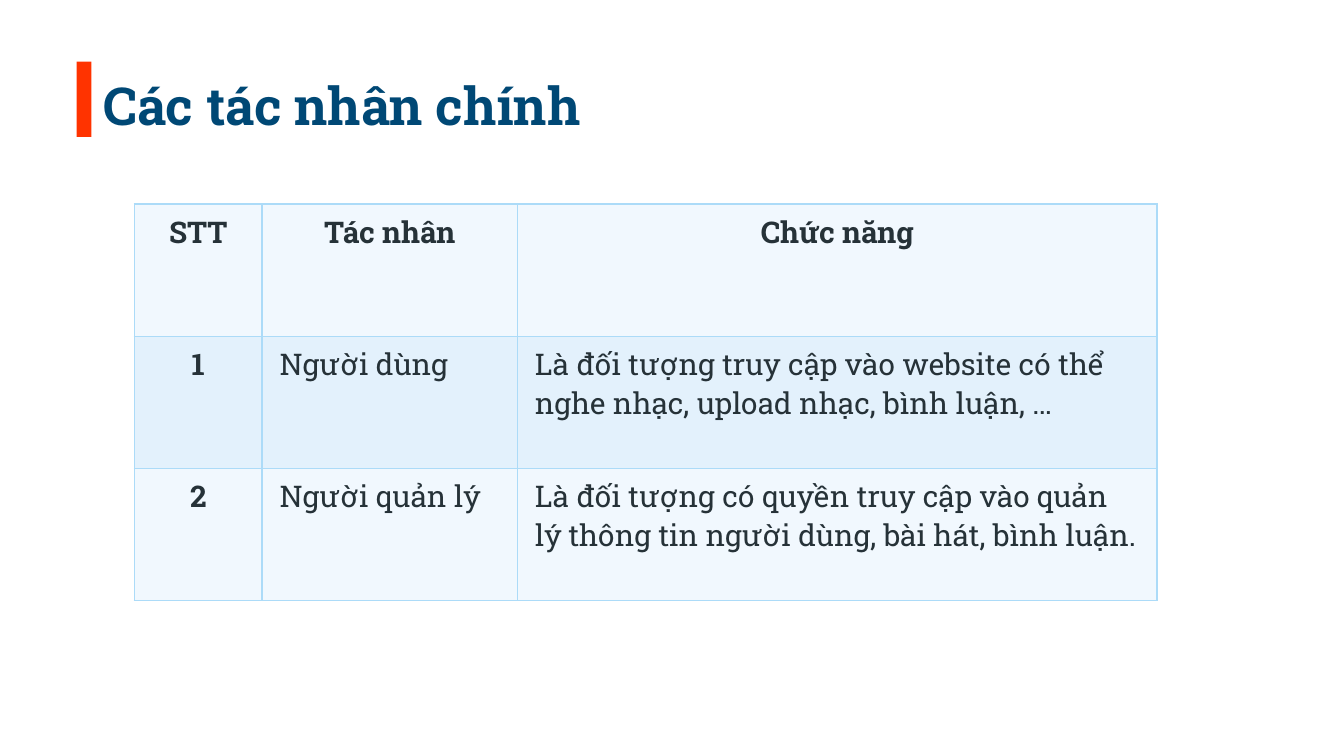
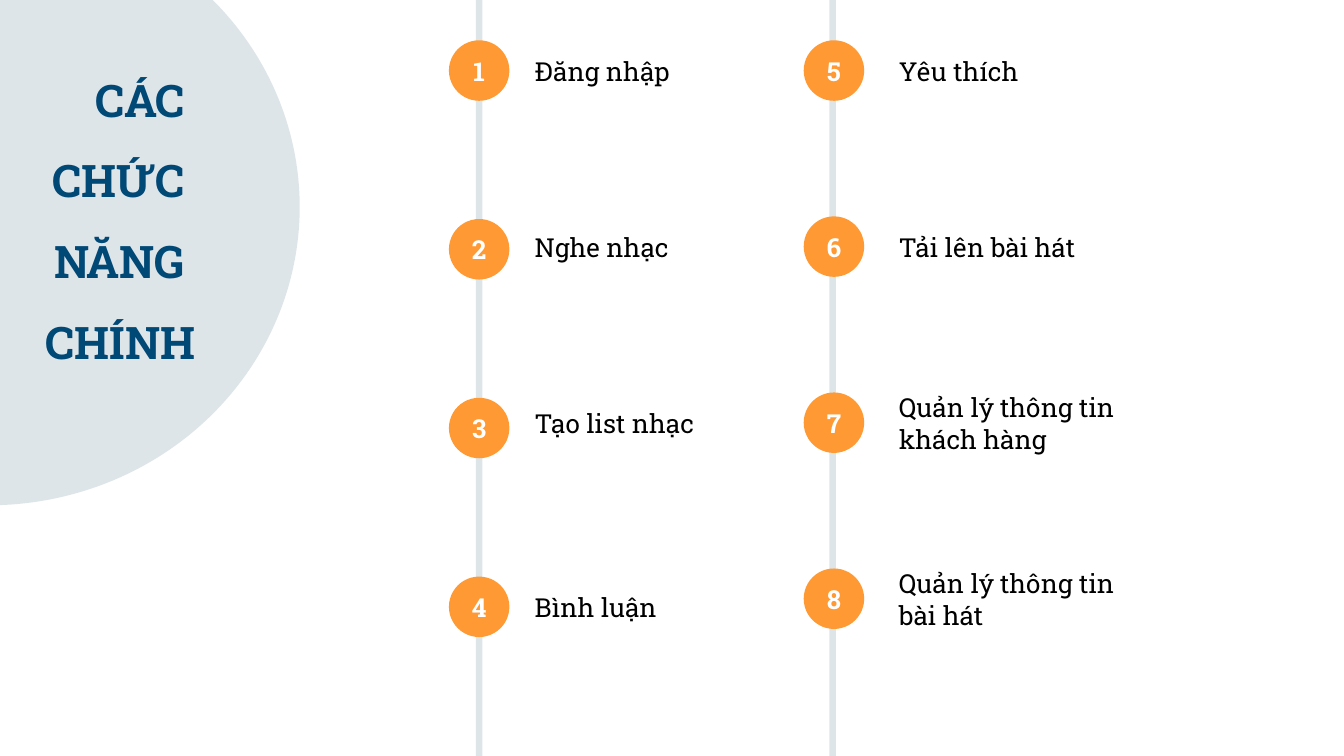
"""Builds two slides on the actors and main functions of a music website."""
from dataclasses import dataclass

from lxml import etree
from pptx import Presentation
from pptx.dml.color import RGBColor
from pptx.enum.shapes import MSO_SHAPE
from pptx.enum.text import MSO_ANCHOR, MSO_AUTO_SIZE, PP_ALIGN
from pptx.oxml.ns import qn
from pptx.util import Inches, Pt

RECTANGLE, OVAL = MSO_SHAPE.RECTANGLE, MSO_SHAPE.OVAL
LEFT, CENTER, RIGHT = PP_ALIGN.LEFT, PP_ALIGN.CENTER, PP_ALIGN.RIGHT
MIDDLE, BOTTOM = MSO_ANCHOR.MIDDLE, MSO_ANCHOR.BOTTOM
GROW = MSO_AUTO_SIZE.SHAPE_TO_FIT_TEXT


@dataclass(frozen=True)
class Theme:
    """Colours, font and type sizes shared by the slides."""
    font: str = "Roboto Slab"
    navy: str = "004875"
    red: str = "FF3300"
    orange: str = "FF9933"
    gray: str = "DEE5E9"
    ink: str = "263238"
    black: str = "000000"
    white: str = "FFFFFF"
    border: str = "ACDBF8"
    row_fills: tuple = ("F1F8FE", "E3F1FC")
    title_size: int = 28
    disc_size: int = 24
    table_size: int = 16
    label_size: int = 14


THEME = Theme()

ACTORS = [
    ("STT", "Tác nhân", "Chức năng"),
    ("1", "Người dùng",
     "Là đối tượng truy cập vào website có thể nghe nhạc, upload nhạc, bình luận, …"),
    ("2", "Người quản lý",
     "Là đối tượng có quyền truy cập vào quản lý thông tin người dùng, bài hát, bình luận."),
]
COLUMN_WIDTHS = (0.95, 1.9, 4.76)
TABLE_HEIGHT = 2.95

DISC_LINES = ["CÁC ", "CHỨC ", "NĂNG ", "CHÍNH"]
BADGE = 0.45
FIRST_BADGE_TOP = 0.3
LABEL_HEIGHTS = {1: 0.34, 2: 0.57}


@dataclass(frozen=True)
class Timeline:
    """A vertical rail with numbered badges and (text, middle, width, lines) labels."""
    rail_left: float
    rail_top: float
    badge_left: float
    pitch: float
    label_left: float
    first_number: int
    labels: tuple


TIMELINES = [
    Timeline(3.54, 0, 3.34, 1.33, 3.88, 1, (
        ("Đăng nhập", 0.53, 1.35, 1),
        ("Nghe nhạc", 1.84, 1.35, 1),
        ("Tạo list nhạc", 3.15, 1.46, 1),
        ("Bình luận", 4.52, 1.46, 1))),
    Timeline(6.17, -0.07, 5.98, 1.31, 6.59, 5, (
        ("Yêu thích", 0.53, 1.35, 1),
        ("Tải lên bài hát", 1.84, 1.53, 1),
        ("Quản lý thông tin khách hàng", 3.15, 2, 2),
        ("Quản lý thông tin bài hát", 4.46, 2, 2))),
]


def rgb(value):
    """Return the colour for a hexadecimal string."""
    return RGBColor.from_string(value)


def write(frame, lines, size, color, bold=False, align=LEFT, spacing=None):
    """Fill a text frame with one paragraph per line."""
    frame.word_wrap = True
    for index, line in enumerate(lines):
        para = frame.paragraphs[0] if index == 0 else frame.add_paragraph()
        para.text = line
        para.alignment = align
        para.line_spacing = spacing
        para.font.name = THEME.font
        para.font.size = Pt(size)
        para.font.bold = bold
        para.font.color.rgb = rgb(color)


def add_block(page, kind, left, top, width, height, fill):
    """Add a flat filled shape without outline."""
    block = page.shapes.add_shape(
        kind, Inches(left), Inches(top), Inches(width), Inches(height))
    block.shadow.inherit = False
    block.fill.solid()
    block.fill.fore_color.rgb = rgb(fill)
    block.line.fill.background()
    block.text_frame.vertical_anchor = MIDDLE
    return block


def add_text(page, left, top, width, height, text, size, color, bold=False):
    """Add a wrapped text box and return its frame."""
    box = page.shapes.add_textbox(
        Inches(left), Inches(top), Inches(width), Inches(height))
    write(box.text_frame, [text], size, color, bold)
    return box.text_frame


def add_title(page, text):
    """Add the slide title with its accent bar."""
    frame = add_text(page, 0.67, 0.34, 4.14, 0.77, text,
                     THEME.title_size, THEME.navy, bold=True)
    frame.vertical_anchor = BOTTOM
    frame.margin_top = frame.margin_bottom = Inches(0.1)
    add_block(page, RECTANGLE, 0.57, 0.46, 0.11, 0.56, THEME.red)


def set_borders(cell):
    """Draw a thin line on all four sides of a cell."""
    properties = cell._tc.get_or_add_tcPr()
    for side in ("a:lnL", "a:lnR", "a:lnT", "a:lnB"):
        line = etree.SubElement(properties, qn(side), w=str(Pt(1)))
        fill = etree.SubElement(line, qn("a:solidFill"))
        etree.SubElement(fill, qn("a:srgbClr"), val=THEME.border)


def add_actor_table(page, left, top):
    """Add the table of actors, with bold headings and numbers."""
    table = page.shapes.add_table(
        len(ACTORS), len(COLUMN_WIDTHS), Inches(left), Inches(top),
        Inches(sum(COLUMN_WIDTHS)), Inches(TABLE_HEIGHT)).table
    for column, width in zip(table.columns, COLUMN_WIDTHS):
        column.width = Inches(width)
    for row_index, values in enumerate(ACTORS):
        table.rows[row_index].height = Inches(TABLE_HEIGHT / len(ACTORS))
        for column_index, value in enumerate(values):
            cell = table.cell(row_index, column_index)
            heading = row_index == 0 or column_index == 0
            write(cell.text_frame, [value], THEME.table_size, THEME.ink,
                  heading, CENTER if heading else LEFT)
            cell.margin_left = cell.margin_right = Inches(0.13)
            cell.margin_top = cell.margin_bottom = Inches(0.06)
            set_borders(cell)
            cell.fill.solid()
            cell.fill.fore_color.rgb = rgb(THEME.row_fills[row_index % 2])


def add_disc(page):
    """Add the large disc that carries the heading."""
    disc = add_block(page, OVAL, -2.4, -0.68, 4.63, 4.44, THEME.gray)
    write(disc.text_frame, DISC_LINES, THEME.disc_size, THEME.navy,
          bold=True, align=RIGHT, spacing=1.5)


def add_timeline(page, timeline):
    """Add a rail with its numbered badges and labels."""
    add_block(page, RECTANGLE, timeline.rail_left, timeline.rail_top,
              0.05, 5.7, THEME.gray)
    for index, (text, middle, width, lines) in enumerate(timeline.labels):
        badge = add_block(page, OVAL, timeline.badge_left,
                          FIRST_BADGE_TOP + index * timeline.pitch,
                          BADGE, BADGE, THEME.orange)
        write(badge.text_frame, [str(timeline.first_number + index)],
              THEME.label_size, THEME.white, bold=True, align=CENTER)
        height = LABEL_HEIGHTS[lines]
        frame = add_text(page, timeline.label_left, middle - height / 2,
                         width, height, text, THEME.label_size, THEME.black)
        frame.auto_size = GROW


def add_page(deck):
    """Add a blank slide with a white background."""
    page = deck.slides.add_slide(deck.slide_layouts[6])
    page.background.fill.solid()
    page.background.fill.fore_color.rgb = rgb(THEME.white)
    return page


def main():
    """Build and save the deck."""
    deck = Presentation()
    deck.slide_width = Inches(10)
    deck.slide_height = Inches(10 * 9 / 16)

    actors = add_page(deck)
    add_actor_table(actors, 1, 1.52)
    add_title(actors, "Các tác nhân chính")

    functions = add_page(deck)
    add_disc(functions)
    for timeline in TIMELINES:
        add_timeline(functions, timeline)

    deck.save("out.pptx")


if __name__ == "__main__":
    main()
